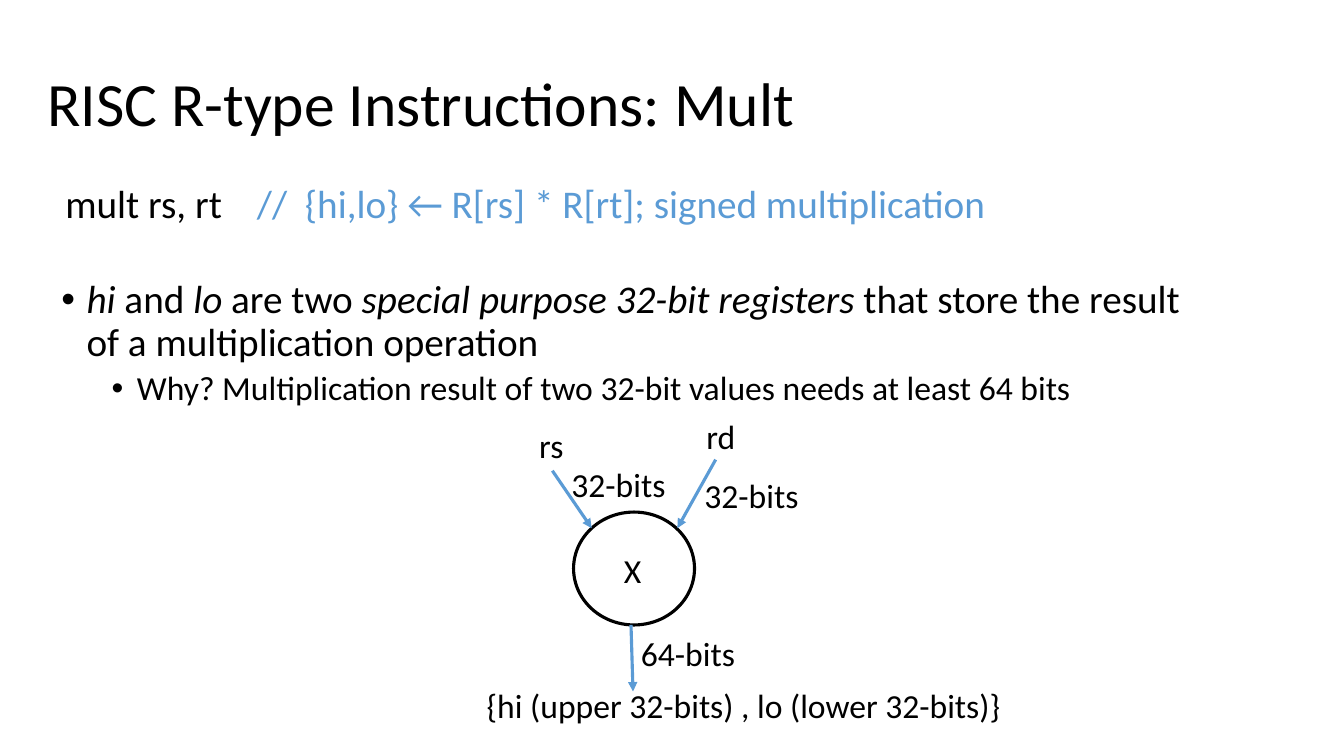
from lxml import etree
from pptx import Presentation
from pptx import util as u
from pptx.dml.color import RGBColor
from pptx.enum import shapes, text
from pptx.oxml import ns

WIDTH, HEIGHT = u.Inches(13.33), u.Inches(7.5)
COLUMNS, ROWS = 160, 90
BLACK, BLUE = "000000", "5B9BD5"
FONT = "Calibri"
LINE_WEIGHT = 2.25

LABELS = [
    ("rs", 63, 50.04, 5.4),
    ("rd", 82.92, 48.96, 5.88),
    ("32-bits", 66.84, 54.6, 13.68),
    ("32-bits", 82.68, 55.92, 13.68),
    ("X", 73.08, 64.92, 4.56),
    ("64-bits", 75.12, 74.76, 13.68),
    ("{hi (upper 32-bits) , lo (lower 32-bits)}", 56.76, 81, 64.08),
]
ARROWS = [
    ((65.76, 56.04), (70.44, 62.88)),
    ((85.2, 54.72), (80.64, 62.88)),
    ((75.12, 74.4), (75.36, 82.32)),
]


def color(value):
    return RGBColor.from_string(value)


def grid(*cells):
    units = (WIDTH / COLUMNS, HEIGHT / ROWS)
    return [round(cell * units[index % 2]) for index, cell in enumerate(cells)]


def add_child(parent, tag, **attributes):
    return etree.SubElement(parent, ns.qn(tag), attributes)


def add_text_box(slide, box, wrap=True, anchor=text.MSO_ANCHOR.TOP):
    text_frame = slide.shapes.add_textbox(*grid(*box)).text_frame
    text_frame.word_wrap = wrap
    text_frame.vertical_anchor = anchor
    return text_frame


def add_run(paragraph, words, size, fill=BLACK, italic=False):
    run = paragraph.add_run()
    run.text = words
    run.font.name = FONT
    run.font.size = u.Pt(size)
    run.font.italic = italic
    run.font.color.rgb = color(fill)


def set_spacing(paragraph, before):
    paragraph.line_spacing = 0.9
    paragraph.space_before = u.Pt(before)


def set_bullet(paragraph, indent):
    properties = paragraph._p.get_or_add_pPr()
    properties.set("marL", str(u.Inches(indent)))
    properties.set("indent", str(u.Inches(-0.25)))
    add_child(properties, "a:buFont", typeface="Arial")
    add_child(properties, "a:buChar", char="•")


def add_title(slide, words):
    text_frame = add_text_box(slide, (4.44, 3.96, 138, 17.4), anchor=text.MSO_ANCHOR.MIDDLE)
    paragraph = text_frame.paragraphs[0]
    set_spacing(paragraph, 0)
    add_run(paragraph, words, 44)


def add_instruction(slide, instruction, remark):
    paragraph = add_text_box(slide, (6.6, 21.36, 145.4, 7)).paragraphs[0]
    set_spacing(paragraph, 10)
    tabs = add_child(paragraph._p.get_or_add_pPr(), "a:tabLst")
    add_child(tabs, "a:tab", pos=str(u.Inches(1.9)), algn="l")
    add_run(paragraph, instruction + "\t", 28)
    add_run(paragraph, remark, 28, BLUE)


def add_explanation(slide, pieces, reason):
    text_frame = add_text_box(slide, (6.12, 32.76, 138, 17))
    paragraph = text_frame.paragraphs[0]
    set_spacing(paragraph, 10)
    set_bullet(paragraph, 0.25)
    for index, words in enumerate(pieces):
        add_run(paragraph, words, 28, italic=index % 2 == 0)
    paragraph = text_frame.add_paragraph()
    paragraph.level = 1
    set_spacing(paragraph, 5)
    set_bullet(paragraph, 0.75)
    add_run(paragraph, reason, 24)


def add_multiplier(slide):
    box = grid(68.28, 60.96, 14.4, 13.44)
    circle = slide.shapes.add_shape(shapes.MSO_SHAPE.OVAL, *box)
    circle.shadow.inherit = False
    circle.fill.background()
    circle.line.color.rgb = color(BLACK)
    circle.line.width = u.Pt(LINE_WEIGHT)


def add_arrow(slide, start, end):
    arrow = slide.shapes.add_connector(shapes.MSO_CONNECTOR.STRAIGHT, *grid(*start, *end))
    arrow.line.color.rgb = color(BLUE)
    arrow.line.width = u.Pt(LINE_WEIGHT)
    add_child(arrow.line._get_or_add_ln(), "a:tailEnd", type="triangle")
    add_child(arrow._element.spPr, "a:effectLst")


def add_label(slide, words, left, top, width):
    text_frame = add_text_box(slide, (left, top, width, 6), wrap=False)
    text_frame.auto_size = text.MSO_AUTO_SIZE.SHAPE_TO_FIT_TEXT
    add_run(text_frame.paragraphs[0], words, 24)


def main():
    presentation = Presentation()
    presentation.slide_width, presentation.slide_height = WIDTH, HEIGHT
    slide = presentation.slides.add_slide(presentation.slide_layouts[6])
    add_title(slide, "RISC R-type Instructions: Mult")
    add_instruction(slide, "mult rs, rt", "//  {hi,lo} ← R[rs] * R[rt]; signed multiplication")
    add_explanation(
        slide,
        ["hi", " and ", "lo", " are two ", "special purpose 32-bit registers ",
         "that store the result of a multiplication operation"],
        "Why? Multiplication result of two 32-bit values needs at least 64 bits",
    )
    add_multiplier(slide)
    for start, end in ARROWS:
        add_arrow(slide, start, end)
    for label in LABELS:
        add_label(slide, *label)
    presentation.save("out.pptx")


if __name__ == "__main__":
    main()
